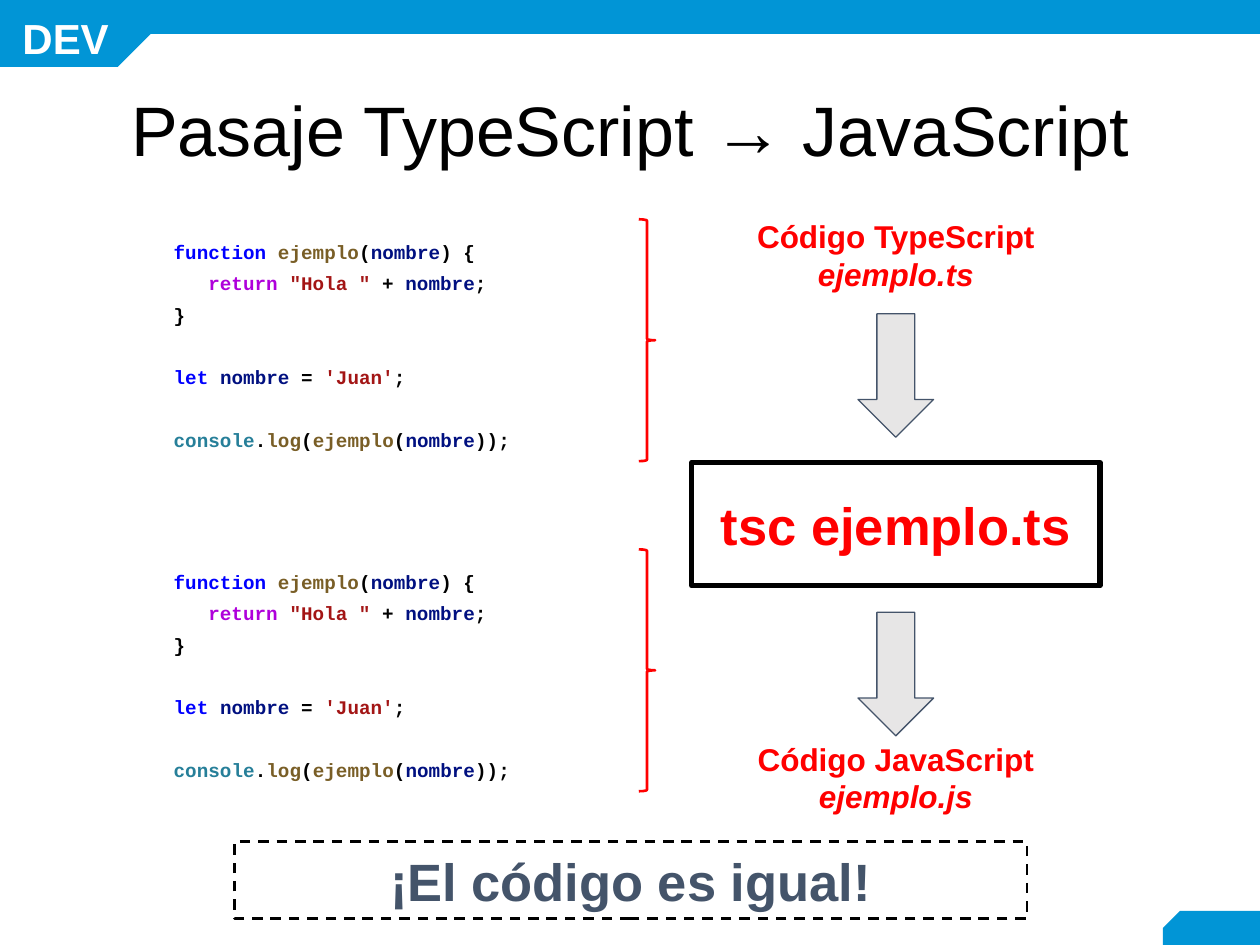
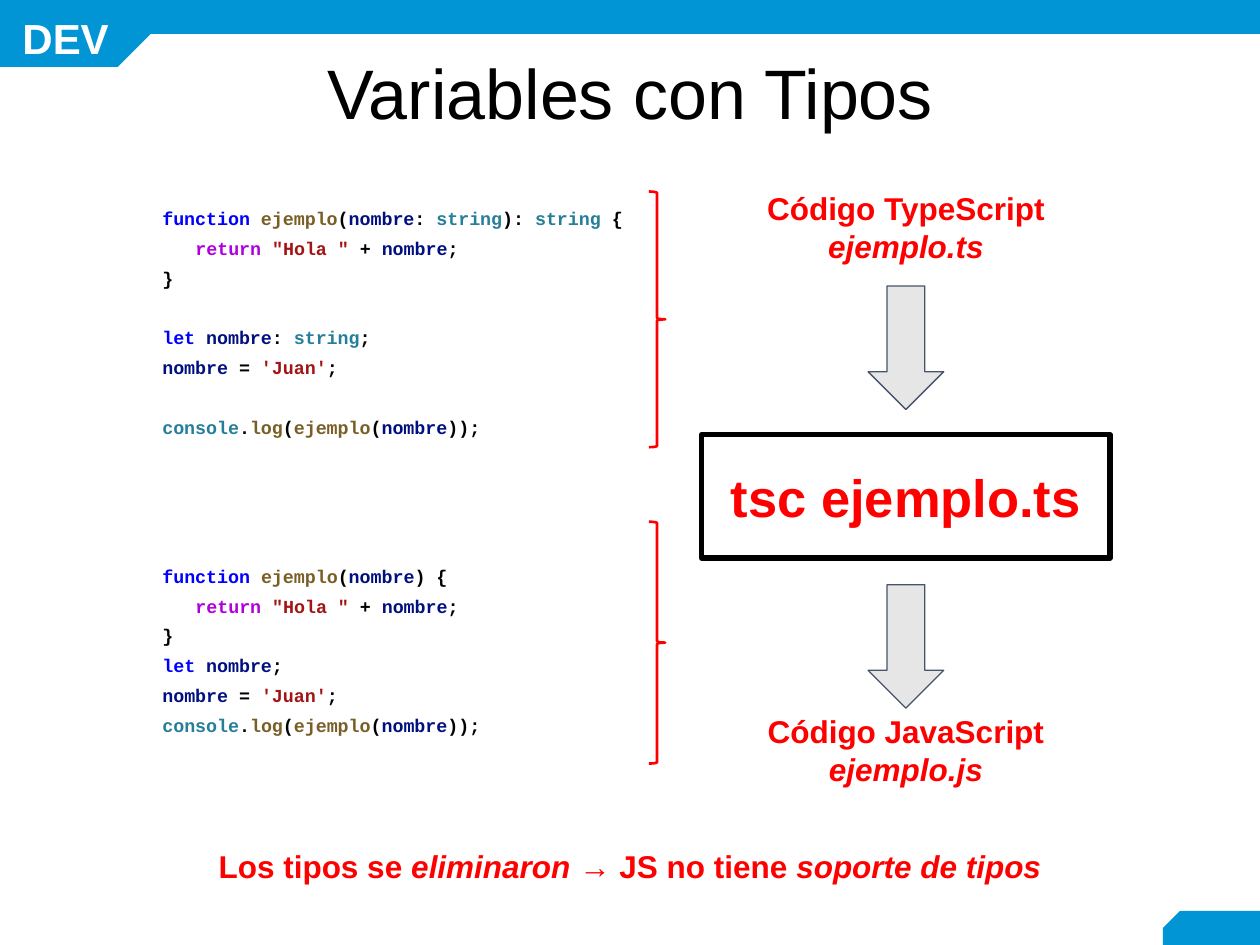
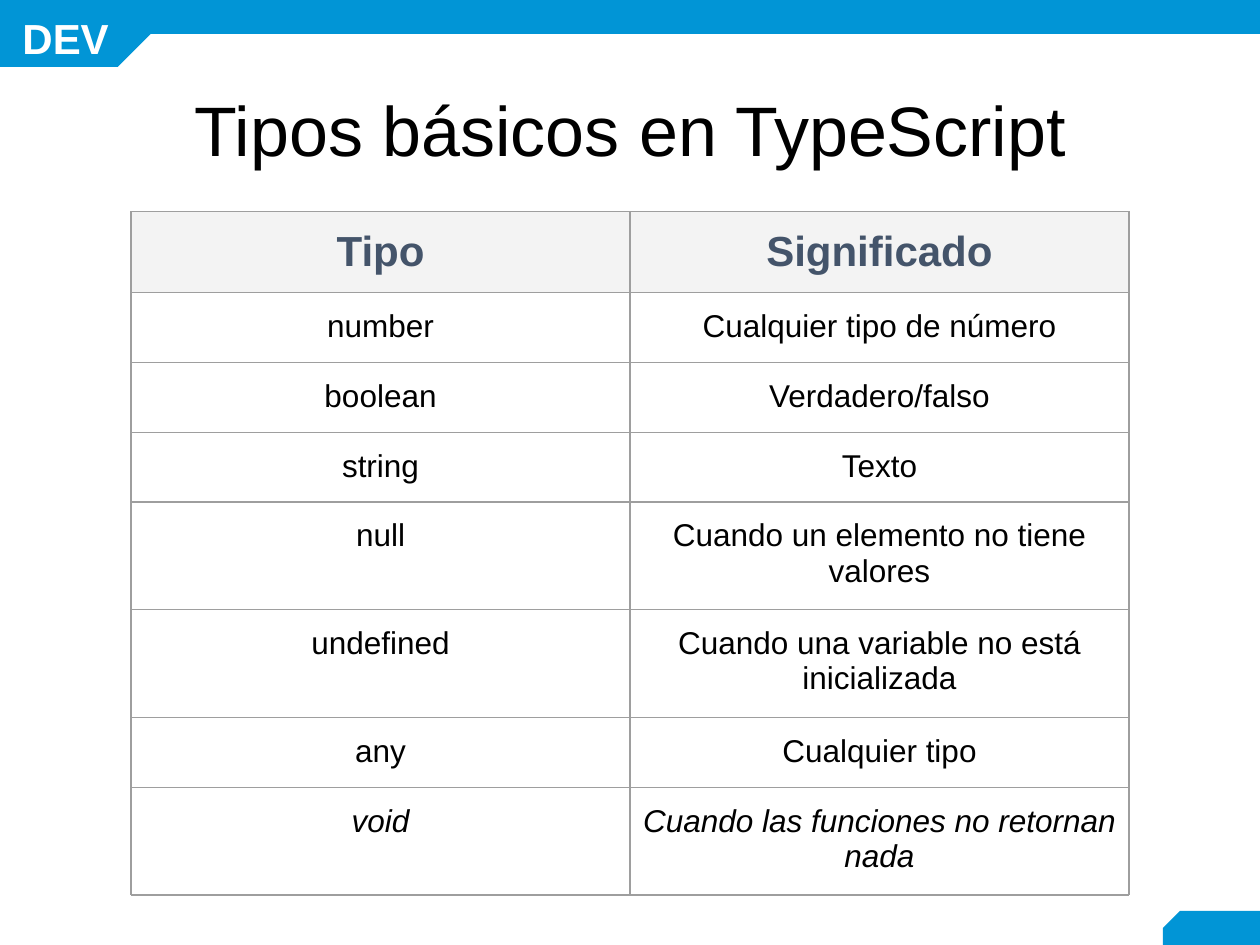
"""Build three slides on compiling TypeScript to JavaScript and on basic types."""
from lxml import etree
from pptx import Presentation
from pptx.dml.color import RGBColor
from pptx.enum.dml import MSO_LINE
from pptx.enum.shapes import MSO_SHAPE
from pptx.enum.text import MSO_ANCHOR, PP_ALIGN
from pptx.oxml.ns import qn
from pptx.util import Inches, Pt

RECTANGLE = MSO_SHAPE.RECTANGLE
SNIPPED = MSO_SHAPE.SNIP_1_RECTANGLE
BRACE = MSO_SHAPE.RIGHT_BRACE
DOWN_ARROW = MSO_SHAPE.DOWN_ARROW
DASH = MSO_LINE.DASH
MIDDLE, TOP = MSO_ANCHOR.MIDDLE, MSO_ANCHOR.TOP
CENTER, LEFT = PP_ALIGN.CENTER, PP_ALIGN.LEFT

COLOURS = {
    "band": "0195D6", "white": "FFFFFF", "black": "000000", "red": "FF0000",
    "slate": "44546A", "arrow": "E7E6E6", "header": "F3F3F3", "border": "9E9E9E",
    "keyword": "0000FF", "call": "795E26", "variable": "001080",
    "control": "AF00DB", "literal": "A31515", "type": "267F99",
}
TOKENS = {
    "function": "keyword", "let": "keyword", "return": "control",
    "ejemplo": "call", "log": "call", "nombre": "variable",
    '"Hola "': "literal", "'Juan'": "literal",
    "console": "type", "string": "type",
}

deck = Presentation()
deck.slide_width, deck.slide_height = Inches(10), Inches(7.5)
COLUMN = deck.slide_width / 100
ROW = deck.slide_height / 75


def add_box(page, kind, area, fill=None, line=None, weight=1.5, anchor=MIDDLE):
    """Place a shape on the grid: area is left, top, columns and rows."""
    left, top, columns, rows = area
    box = page.shapes.add_shape(kind, round(left * COLUMN), round(top * ROW),
                                round(columns * COLUMN), round(rows * ROW))
    box.shadow.inherit = False
    if fill:
        box.fill.solid()
        box.fill.fore_color.rgb = RGBColor.from_string(COLOURS[fill])
    else:
        box.fill.background()
    if line:
        box.line.color.rgb = RGBColor.from_string(COLOURS[line])
        box.line.width = Pt(weight)
    else:
        box.line.fill.background()
    frame = box.text_frame
    frame.word_wrap = True
    frame.vertical_anchor = anchor
    frame.margin_left = frame.margin_right = Inches(0.1)
    frame.margin_top = frame.margin_bottom = Inches(0.1)
    return box


def write(para, spans, size, bold=True, font="Arial", align=CENTER):
    """Add runs to a paragraph: each span is text, colour name and italic."""
    para.alignment = align
    for text, colour, italic in spans:
        span = para.add_run()
        span.text = text
        span.font.name = font
        span.font.size = Pt(size)
        span.font.bold = bold
        span.font.italic = italic
        span.font.color.rgb = RGBColor.from_string(COLOURS[colour])


titles = [
    ("Pasaje TypeScript → JavaScript", 6.5),
    ("Variables con Tipos", 3.5),
    ("Tipos básicos en TypeScript", 6.5),
]
pages = []
for title, title_top in titles:
    page = deck.slides.add_slide(deck.slide_layouts[6])
    pages.append(page)
    corner = add_box(page, SNIPPED, (92.3, 72.3, 7.7, 2.7), "band")
    corner.adjustments[0] = 0.57
    add_box(page, RECTANGLE, (11.2, 0, 88.8, 2.7), "band")
    tab = add_box(page, SNIPPED, (0, 0, 12, 5.3), "band")
    tab.adjustments[0] = 0.5
    tab.rotation = 180
    for flipped in (corner, tab):
        flipped.element.spPr.find(qn("a:xfrm")).set("flipH", "1")
    label = add_box(page, RECTANGLE, (0.8, 0, 9.6, 5.7), anchor=TOP)
    write(label.text_frame.paragraphs[0], [("DEV", "white", False)], 24, align=LEFT)
    heading = add_box(page, RECTANGLE, (3.4, title_top, 93.2, 8.3))
    para = heading.text_frame.paragraphs[0]
    para.line_spacing = 0.9
    write(para, [(title, "black", False)], 40, bold=False)

opening = ["function |ejemplo|(|nombre|) {", 'return |"Hola "| + |nombre|;', "}"]
typed_opening = ["function |ejemplo|(|nombre|: |string|): |string| {"] + opening[1:]
assignment = "nombre| = |'Juan'|;"
output = "console|.|log|(|ejemplo|(|nombre|));"
plain = opening + ["", "let |" + assignment, "", output]
typed = typed_opening + ["", "let |nombre|: |string|;", assignment, "", output]
untyped = opening + ["let |nombre|;", assignment, output]

flows = [
    (pages[0], 54.9, 17.4, 19.2, 11,
     [(plain, (12.8, 17.4, 32.8, 19.2)), (plain, (12.8, 43.6, 32.8, 19.2))]),
    (pages[1], 55.7, 15.2, 20.3, 10.5,
     [(typed, (11.9, 14.8, 39.6, 21)), (untyped, (11.9, 43.2, 32.8, 16.1))]),
]
for page, left, top, brace_rows, code_size, listings in flows:
    for offset, rows in ((0, brace_rows), (26.2, 19.2)):
        brace = add_box(page, BRACE, (left - 4.2, top + offset, 1.3, rows), line="red")
        brace.adjustments[0] = 0.083
    for offset, language, file_name in ((0.2, "TypeScript", "ejemplo.ts"),
                                        (41.7, "JavaScript", "ejemplo.js")):
        label = add_box(page, RECTANGLE, (left, top + offset, 32.4, 5.2))
        write(label.text_frame.paragraphs[0],
              [(f"Código {language} ", "red", False), (file_name, "red", True)], 18)
    command = add_box(page, RECTANGLE, (left, top + 19.3, 32.4, 9.8), line="black", weight=3)
    write(command.text_frame.paragraphs[0], [("tsc ejemplo.ts", "red", False)], 30)
    for offset in (7.5, 31.2):
        add_box(page, DOWN_ARROW, (left + 13.2, top + offset, 6, 9.8),
                "arrow", "slate", 0.75)
    for lines, area in listings:
        frame = add_box(page, RECTANGLE, area, anchor=TOP).text_frame
        for number, line in enumerate(lines):
            if not line:
                continue
            para = frame.add_paragraph() if number else frame.paragraphs[0]
            para.line_spacing = 1.36
            if number and not lines[number - 1]:
                para.space_before = Pt(round(code_size * 1.62, 1))
            if line.startswith("return"):
                para._p.get_or_add_pPr().set("marL", str(Pt(code_size * 1.8)))
            spans = [(token, TOKENS.get(token.strip(), "black"), False)
                     for token in line.split("|")]
            write(para, spans, code_size, font="Courier New", align=LEFT)

verdict = add_box(pages[0], RECTANGLE, (18.6, 66.8, 62.9, 6.1), line="black")
verdict.line.dash_style = DASH
write(verdict.text_frame.paragraphs[0], [("¡El código es igual!", "slate", False)], 30)

remark = add_box(pages[1], RECTANGLE, (11.6, 66.1, 76.8, 5.2))
write(remark.text_frame.paragraphs[0],
      [("Los tipos se ", "red", False), ("eliminaron ", "red", True),
       ("→ JS no tiene ", "red", False), ("soporte de tipos", "red", True)], 18)

types = [
    ("Tipo", "Significado", 6.4),
    ("number", "Cualquier tipo de número", 5.55),
    ("boolean", "Verdadero/falso", 5.55),
    ("string", "Texto", 5.55),
    ("null", "Cuando un elemento no tiene valores", 8.55),
    ("undefined", "Cuando una variable no está inicializada", 8.55),
    ("any", "Cualquier tipo", 5.55),
    ("void", "Cuando las funciones no retornan nada", 8.55),
]
total_rows = sum(rows for name, meaning, rows in types)
table = pages[2].shapes.add_table(
    len(types), 2, round(10.4 * COLUMN), round(16.8 * ROW),
    round(79.2 * COLUMN), round(total_rows * ROW)).table
table.first_row = table.horz_banding = False
for row, (name, meaning, rows) in enumerate(types):
    table.rows[row].height = round(rows * ROW)
    header = row == 0
    for column, text in enumerate((name, meaning)):
        cell = table.cell(row, column)
        cell.margin_left = cell.margin_right = Inches(0.1)
        cell.margin_top = cell.margin_bottom = Inches(0.13)
        properties = cell._tc.get_or_add_tcPr()
        for side in ("a:lnL", "a:lnR", "a:lnT", "a:lnB"):
            border = etree.SubElement(properties, qn(side), w=str(Pt(0.75)))
            paint = etree.SubElement(border, qn("a:solidFill"))
            etree.SubElement(paint, qn("a:srgbClr"), val=COLOURS["border"])
        if header:
            cell.fill.solid()
            cell.fill.fore_color.rgb = RGBColor.from_string(COLOURS["header"])
        else:
            cell.fill.background()
        write(cell.text_frame.paragraphs[0],
              [(text, "slate" if header else "black", name == "void")],
              24 if header else 18, bold=header)

deck.save("out.pptx")
